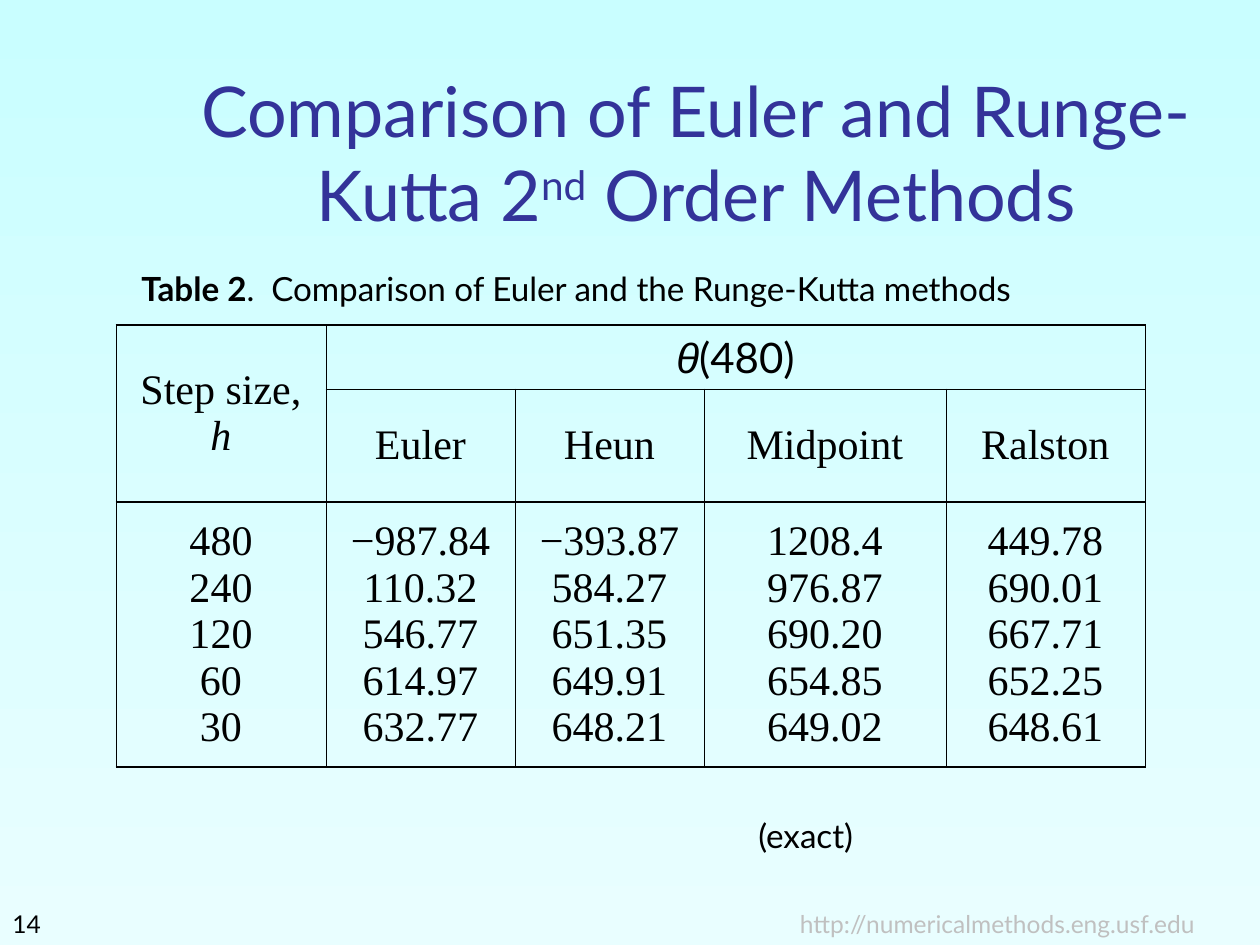
import pptx
import pptx.util
import pptx.dml.color
import pptx.enum.text
import pptx.oxml

RGB = pptx.dml.color.RGBColor
ALIGN = pptx.enum.text.PP_ALIGN
ANCHOR = pptx.enum.text.MSO_ANCHOR
Pt = pptx.util.Pt
BLACK = RGB(0, 0, 0)
INDIGO = RGB(0x33, 0x33, 0x99)
SILVER = RGB(0xC0, 0xC0, 0xC0)
SKY = RGB(0xC9, 0xFE, 0xFF)
ICE = RGB(0xE9, 0xFE, 0xFF)
SCALE = 914400 // 126
SERIF = {"name": "Times New Roman", "size": Pt(24)}
HEAD = {"name": "Lato", "size": Pt(40)}
NOTE = {"name": "Lato", "size": Pt(19)}
FOOT = {"name": "Lato", "size": Pt(14)}
THIN, MID, BOLD = 0.34, 0.45, 0.96


class Deck:
    """Holds the text style and the current slide."""

    def __init__(self, wide, high):
        self.show = pptx.Presentation()
        self.show.slide_width = pptx.util.Inches(wide)
        self.show.slide_height = pptx.util.Inches(high)
        self.slide = self.show.slides.add_slide(self.show.slide_layouts[5])

    def back(self, top, base):
        fill = self.slide.background.fill
        fill.gradient()
        fill.gradient_angle = 270
        for stop, color in zip(fill.gradient_stops, (top, base)):
            stop.color.rgb = color

    def put(self, frame, paras, style, color=BLACK, align=ALIGN.CENTER, before=0):
        for pos, runs in enumerate(paras):
            para = frame.add_paragraph() if pos else frame.paragraphs[0]
            para.alignment = align
            para.space_before = Pt(before)
            for text, extra in runs:
                run = para.add_run()
                run.text = text
                run.font.color.rgb = color
                look = {**style, **extra}
                base = look.pop("base", None)
                for key, value in look.items():
                    setattr(run.font, key, value)
                if base:
                    run._r.get_or_add_rPr().set("baseline", str(base * 1000))

    def title(self, box, runs, style, color):
        shape = self.slide.shapes.title
        for key, value in zip(("left", "top", "width", "height"), box):
            setattr(shape, key, value * SCALE)
        frame = shape.text_frame
        frame.auto_size = pptx.enum.text.MSO_AUTO_SIZE.NONE
        frame.vertical_anchor = ANCHOR.BOTTOM
        self.put(frame, [runs], style, color)

    def text(self, box, runs, style, anchor, align=ALIGN.LEFT, color=BLACK):
        shape = self.slide.shapes.add_textbox(*(n * SCALE for n in box))
        frame = shape.text_frame
        frame.word_wrap = True
        frame.vertical_anchor = anchor
        self.put(frame, [runs], style, color, align)

    def border(self, cell, widths):
        props = cell._tc.get_or_add_tcPr()
        for side, width in zip("LRTB", widths):
            props.append(pptx.oxml.parse_xml(
                '<a:ln%s xmlns:a="http://schemas.openxmlformats.org/drawingml/2006/main" '
                'w="%d"><a:solidFill><a:srgbClr val="%s"/></a:solidFill></a:ln%s>'
                % (side, Pt(width), BLACK, side)))

    def grid(self, left, top, cols, rows, spans):
        box = (left, top, sum(cols), sum(rows))
        table = self.slide.shapes.add_table(
            len(rows), len(cols), *(n * SCALE for n in box)).table
        table.first_row = table.horz_banding = False
        for col, width in zip(table.columns, cols):
            col.width = width * SCALE
        for row, height in zip(table.rows, rows):
            row.height = height * SCALE
        for start, end in spans:
            table.cell(*start).merge(table.cell(*end))
        for row in range(len(rows)):
            for col in range(len(cols)):
                cell = table.cell(row, col)
                upper = MID if row == 1 else BOLD
                lower = MID if row == 0 else BOLD
                self.border(cell, (THIN, THIN, upper, lower))
                cell.fill.background()
                cell.vertical_anchor = ANCHOR.MIDDLE
        return table


deck = Deck(10, 7.5)
deck.back(SKY, ICE)

table = deck.grid(116, 325, (210, 189, 189, 242, 199), (64, 113, 265),
                  [((0, 0), (1, 0)), ((0, 1), (0, 4))])
deck.put(table.cell(0, 0).text_frame,
         [[("Step size,", {})], [("h", {"italic": True})]], SERIF)
deck.put(table.cell(0, 1).text_frame,
         [[("θ", {"name": "Arial", "italic": True}), ("(480)", {"name": "Lato"})]],
         SERIF, before=6)
DATA = {
    "Step": ("480", "240", "120", "60", "30"),
    "Euler": ("−987.84", "110.32", "546.77", "614.97", "632.77"),
    "Heun": ("−393.87", "584.27", "651.35", "649.91", "648.21"),
    "Midpoint": ("1208.4", "976.87", "690.20", "654.85", "649.02"),
    "Ralston": ("449.78", "690.01", "667.71", "652.25", "648.61"),
}
for col, (name, values) in enumerate(DATA.items()):
    if col:
        deck.put(table.cell(1, col).text_frame, [[(name, {})]], SERIF)
    deck.put(table.cell(2, col).text_frame, [[(v, {})] for v in values], SERIF)

deck.text((735, 914, 525, 31), [("http://numericalmethods.eng.usf.edu", {})],
          FOOT, ANCHOR.BOTTOM, ALIGN.CENTER, SILVER)
deck.text((0, 914, 262, 31), [("14", {})], FOOT, ANCHOR.BOTTOM)
deck.title((159, 84, 1074, 158),
           [("Comparison of Euler and Runge-Kutta 2", {}), ("nd", {"base": 30}),
            (" Order Methods", {})], HEAD, INDIGO)
deck.text((129, 262, 966, 53),
          [("Table 2", {"bold": True}),
           (".  Comparison of Euler and the Runge-Kutta methods", {})],
          NOTE, ANCHOR.MIDDLE)
deck.text((746, 809, 127, 53), [("(exact)", {})], NOTE, ANCHOR.TOP)

deck.show.save("out.pptx")
